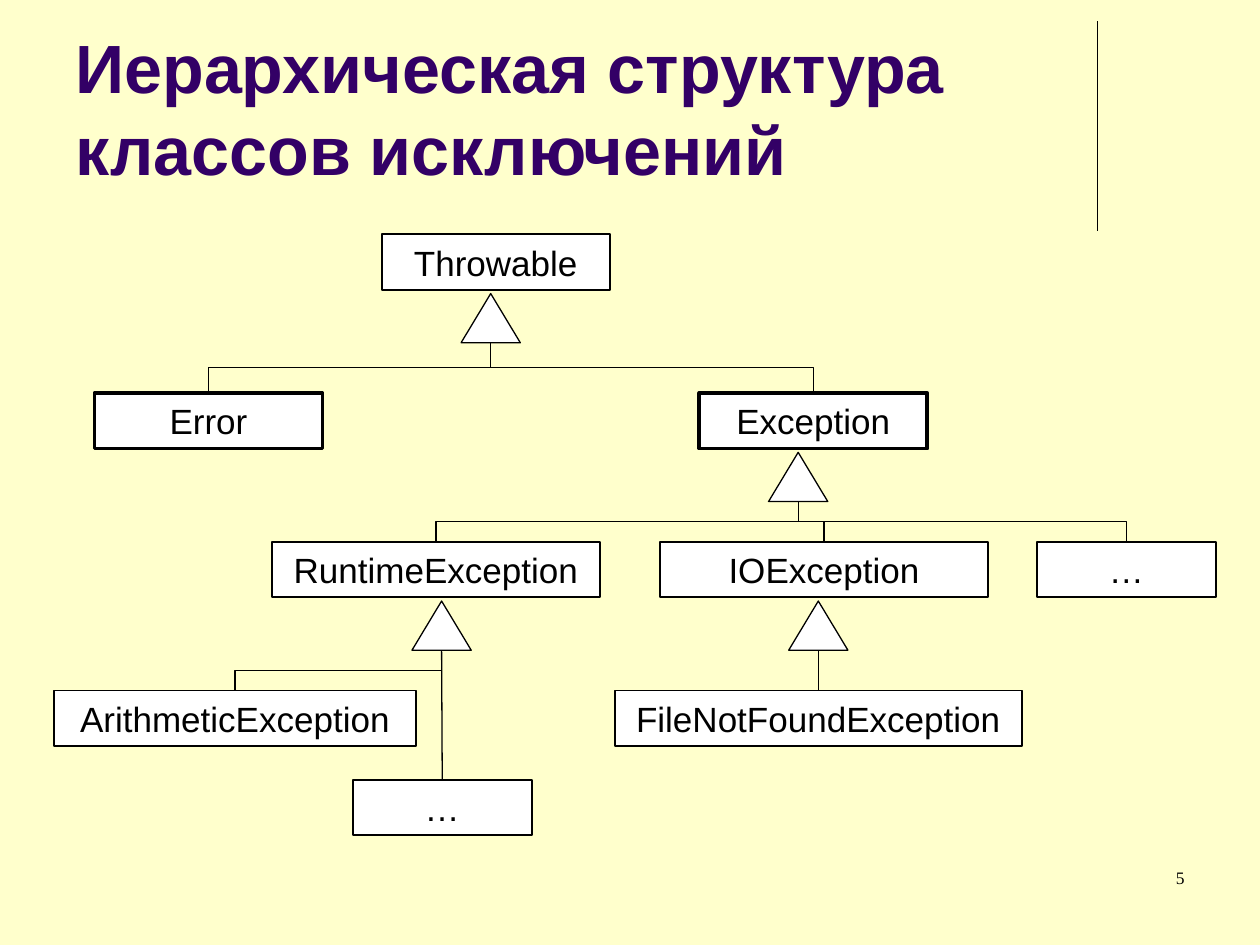
from lxml import etree
from pptx import Presentation
from pptx.dml.color import RGBColor
from pptx.enum import shapes, text
from pptx.oxml import ns
from pptx.util import Inches, Pt

TITLE = "Иерархическая структура класcов исключений"
PAGE_NUMBER = "5"
BLACK, WHITE, PURPLE, CREAM = "000000", "FFFFFF", "330066", "FFFFCC"
BOX_HEIGHT = 0.44
TRIANGLE_WIDTH, TRIANGLE_HEIGHT = 0.47, 0.39

# name, left, top, width, border
CLASSES = [
    ("Throwable", 3.03, 1.86, 1.81, 1),
    ("Error", 0.75, 3.12, 1.81, 2.25),
    ("Exception", 5.55, 3.12, 1.81, 2.25),
    ("RuntimeException", 2.16, 4.3, 2.6, 1),
    ("IOException", 5.24, 4.3, 2.6, 1),
    ("…", 8.23, 4.3, 1.42, 1),
    ("FileNotFoundException", 4.88, 5.48, 3.23, 1),
    ("ArithmeticException", 0.43, 5.48, 2.87, 1),
    ("…", 2.8, 6.19, 1.42, 1),
]
# triangle left, triangle top, indexes of the subclasses
INHERITANCE = [
    (3.66, 2.33, [1, 2]),
    (6.1, 3.59, [3, 4, 5]),
    (6.26, 4.77, [6]),
    (3.27, 4.77, [7, 8]),
]


def color(value):
    return RGBColor.from_string(value)


def write(shape, words, size, font, ink, align, anchor, bold=False):
    frame = shape.text_frame
    frame.word_wrap = True
    frame.vertical_anchor = anchor
    para = frame.paragraphs[0]
    para.text = words
    para.alignment = align
    para.font.size = Pt(size)
    para.font.name = font
    para.font.bold = bold
    para.font.color.rgb = color(ink)


def add_outlined(page, kind, left, top, width, height, border):
    shape = page.shapes.add_shape(
        kind, Inches(left), Inches(top), Inches(width), Inches(height))
    shape.shadow.inherit = False
    shape.fill.solid()
    shape.fill.fore_color.rgb = color(WHITE)
    shape.line.color.rgb = color(BLACK)
    shape.line.width = Pt(border)
    return shape


def add_line(page, kind, start, end):
    line = page.shapes.add_connector(kind, *map(Inches, start + end))
    line.line.color.rgb = color(BLACK)
    line.line.width = Pt(0.75)
    etree.SubElement(line._element.spPr, ns.qn("a:effectLst"))
    return line


def add_branch(page, start, end):
    (x0, y0), (x1, y1) = start, end
    if abs(x1 - x0) < 0.02:
        add_line(page, shapes.MSO_CONNECTOR.STRAIGHT, start, end)
        return
    side = 1 if x1 > x0 else -1
    middle_x, middle_y = (x0 + x1) / 2, (y0 + y1) / 2
    rise, run = side * (y0 - y1) / 2, abs(x1 - x0) / 2
    elbow = add_line(page, shapes.MSO_CONNECTOR.ELBOW,
                     (middle_x + rise, middle_y + run),
                     (middle_x - rise, middle_y - run))
    elbow._element.spPr.xfrm.set("rot", str((90 if side > 0 else 270) * 60000))


def main():
    deck = Presentation()
    deck.slide_width, deck.slide_height = Inches(10), Inches(7.5)
    page = deck.slides.add_slide(deck.slide_layouts[6])
    page.background.fill.solid()
    page.background.fill.fore_color.rgb = color(CREAM)

    add_line(page, shapes.MSO_CONNECTOR.STRAIGHT, (8.71, 0.17), (8.71, 1.83))
    title = page.shapes.add_textbox(
        Inches(0.5), Inches(0.13), Inches(8.25), Inches(1.42))
    write(title, TITLE, 39, "Arial", PURPLE, text.PP_ALIGN.LEFT,
          text.MSO_ANCHOR.BOTTOM, bold=True)

    for name, left, top, width, border in CLASSES:
        box = add_outlined(page, shapes.MSO_SHAPE.RECTANGLE,
                           left, top, width, BOX_HEIGHT, border)
        write(box, name, 20, "Arial", BLACK, text.PP_ALIGN.CENTER,
              text.MSO_ANCHOR.MIDDLE)

    for left, top, children in INHERITANCE:
        add_outlined(page, shapes.MSO_SHAPE.FLOWCHART_EXTRACT,
                     left, top, TRIANGLE_WIDTH, TRIANGLE_HEIGHT, 0.75)
        base = (left + TRIANGLE_WIDTH / 2, top + TRIANGLE_HEIGHT)
        for child in children:
            _, child_left, child_top, width, _ = CLASSES[child]
            add_branch(page, (child_left + width / 2, child_top), base)

    number = page.shapes.add_textbox(
        Inches(7.17), Inches(6.83), Inches(2.33), Inches(0.5))
    write(number, PAGE_NUMBER, 10, "Times New Roman", BLACK,
          text.PP_ALIGN.RIGHT, text.MSO_ANCHOR.TOP)

    deck.save("out.pptx")


if __name__ == "__main__":
    main()
